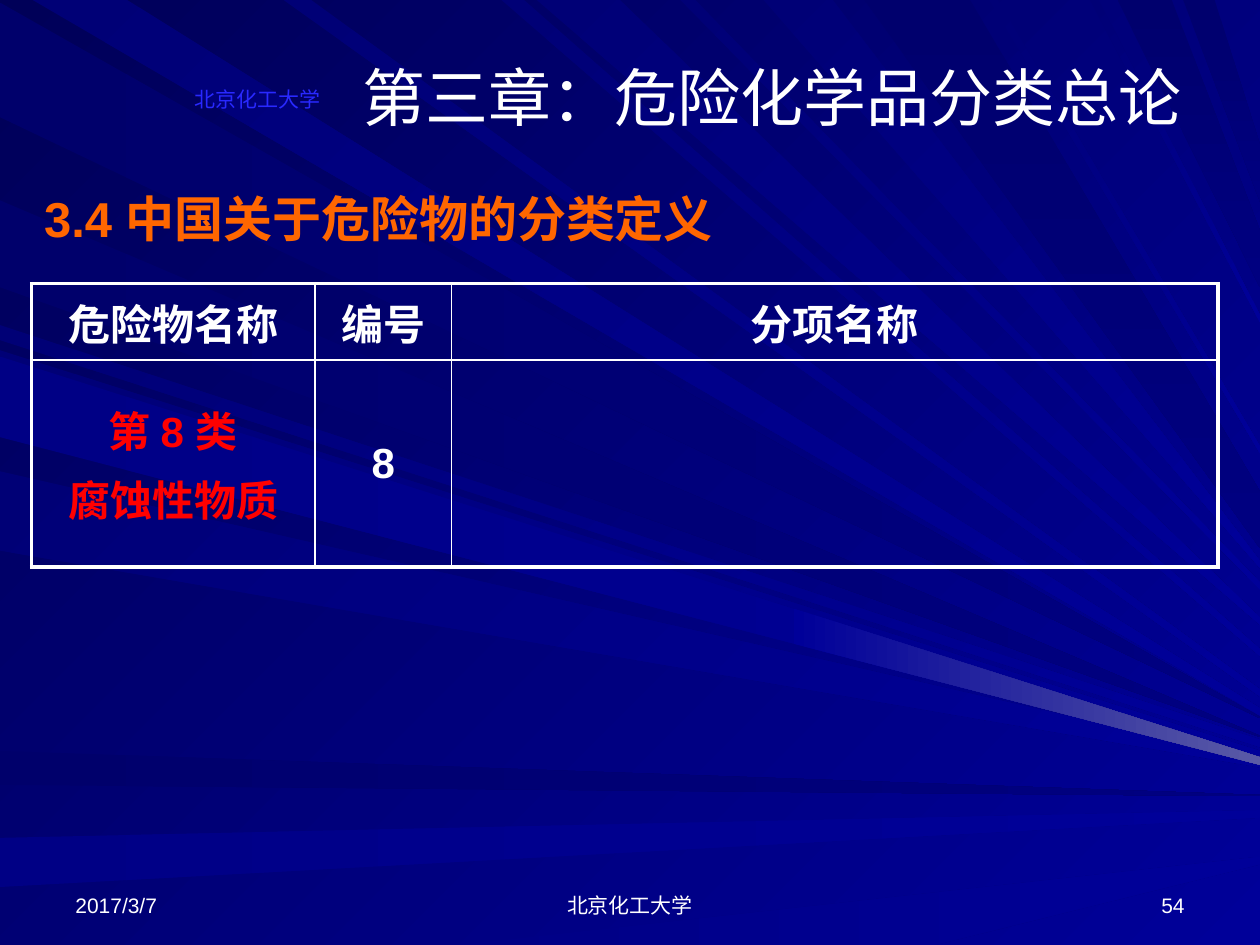
import pptx
import pptx.util
import pptx.dml.color
import pptx.enum.text
import pptx.oxml
import pptx.oxml.ns

WHITE, RED, ORANGE, BLUE = "FFFFFF", "FF0000", "FF6600", "2929FF"
COLUMNS, ROWS = 120, 90
UNIT = pptx.util.Inches(1 / 12)  # side of one grid square
RAY_UNIT = pptx.util.Inches(0.01)

ALIGN = pptx.enum.text.PP_ALIGN
ANCHOR = pptx.enum.text.MSO_ANCHOR

# Content: boxes are left, top, width, height in grid units
TITLE = ("第三章：危险化学品分类总论", (33, 3, 81, 12.4))
HEADING = ("3.4 中国关于危险物的分类定义", (3, 18, 78, 6.6))
LABELS = [
    ("2017/3/7", (6, 82, 28, 6), ALIGN.LEFT, WHITE),
    ("北京化工大学", (41, 82, 38, 6), ALIGN.CENTER, WHITE),
    ("54", (86, 82, 28, 6), ALIGN.RIGHT, WHITE),
    ("北京化工大学", (16, 7, 17, 4.2), ALIGN.CENTER, BLUE),
]
TABLE_ROWS = [
    [("危险物名称", WHITE), ("编号", WHITE), ("分项名称", WHITE)],
    [("第 8 类\n腐蚀性物质", RED), ("8", WHITE), ("", WHITE)],
]
TABLE_CORNER = (3, 27)
COLUMN_WIDTHS = (27, 13, 73)
ROW_HEIGHTS = (7.3, 19.7)

# Ray styles: first colour, last colour, clockwise angle, height of the tip
STYLES = {
    "across": ("00006B", "000080", 0, 1),
    "slant": ("000076", "000099", 45, 6),
    "down": ("00006D", "000080", 90, 45),
    "glow": ("000085", "000099", 0, 6),
    "tail": ("000099", "5A5AA6", 0, 6),
}
# Each ray runs from a stretch of one slide edge to a tip on the right edge:
# style, edge, share of the way where it begins, (start, stop, tip) in RAY_UNIT
RAYS = [
    ("across", "left", 0, [(2, 93, 569), (596, 623, 631), (159, 228, 584)]),
    ("glow", "left", 0, [(665, 704, 643)]),
    ("glow", "bottom", 0, [(364, 742, 680)]),
    ("slant", "top", 0, [(26, 101, 562), (398, 416, 515), (426, 492, 490),
                         (540, 552, 462), (606, 661, 445), (225, 247, 547)]),
    ("down", "top", 0, [(887, 930, 183), (939, 964, 115), (686, 770, 390)]),
    ("slant", "left", 0, [(258, 270, 587), (278, 342, 596), (374, 437, 603)]),
    ("slant", "top", 0, [(785, 792, 354), (865, 872, 250)]),
    ("glow", "left", 0, [(283, 347, 601)]),
    ("tail", "left", 0.63, [(283, 347, 601)]),
]


def color(value):
    return pptx.dml.color.RGBColor.from_string(value)


def grid(*values):
    return [round(value * UNIT) for value in values]


def place(shape, box):
    shape.left, shape.top, shape.width, shape.height = grid(*box)


def paint(fill, first, last, angle):
    fill.gradient()
    fill.gradient_angle = (360 - angle) % 360
    for stop, value in zip(fill.gradient_stops, (first, last)):
        stop.color.rgb = color(value)


def write(frame, text, size=12, fill=WHITE, bold=False, align=ALIGN.LEFT,
          anchor=ANCHOR.BOTTOM, spacing=None, gap=0):
    frame.word_wrap = True
    frame.vertical_anchor = anchor
    for index, line in enumerate(text.split("\n")):
        paragraph = frame.add_paragraph() if index else frame.paragraphs[0]
        paragraph.alignment = align
        paragraph.line_spacing = spacing
        paragraph.space_before = pptx.util.Pt(gap if index else 0)
        run = paragraph.add_run()
        run.text = line
        run.font.name = "Arial"
        run.font.size = pptx.util.Pt(size)
        run.font.bold = bold
        run.font.color.rgb = color(fill)


def add_border(cell, position, side, width):
    line = pptx.oxml.parse_xml(
        f'<a:ln{side} {pptx.oxml.ns.nsdecls("a")} w="{pptx.util.Pt(width)}">'
        f'<a:solidFill><a:srgbClr val="{WHITE}"/></a:solidFill></a:ln{side}>')
    cell._tc.get_or_add_tcPr().insert(position, line)


def ray_corners(edge, begin, start, stop, tip, tip_height, right, bottom):
    def on_edge(value):
        return {"left": (0, value), "top": (value, 0), "bottom": (value, bottom)}[edge]

    # On the top edge the later start is the upper side of the ray
    upper, lower = (stop, start) if edge == "top" else (start, stop)
    near, far = [], []
    for value, tip_y in ((upper, tip), (lower, tip + tip_height)):
        x, y = on_edge(value)
        near.append((x + begin * (right - x), y + begin * (tip_y - y)))
        far.append((right, tip_y))
    return near + far[::-1]


def add_rays(slide):
    right, bottom = (count * UNIT / RAY_UNIT for count in (COLUMNS, ROWS))
    group = slide.shapes.add_group_shape()
    for style, edge, begin, stretches in RAYS:
        first, last, angle, tip_height = STYLES[style]
        for stretch in stretches:
            corners = ray_corners(edge, begin, *stretch, tip_height, right, bottom)
            builder = group.shapes.build_freeform(*corners[0], scale=RAY_UNIT)
            builder.add_line_segments(corners[1:], close=True)
            ray = builder.convert_to_shape()
            ray.shadow.inherit = False
            ray.line.fill.background()
            paint(ray.fill, first, last, angle)
    slide.shapes._spTree.insert(2, group._element)  # behind the placeholders


def add_class_table(slide):
    size = (sum(COLUMN_WIDTHS), sum(ROW_HEIGHTS))
    table = slide.shapes.add_table(len(ROW_HEIGHTS), len(COLUMN_WIDTHS),
                                   *grid(*TABLE_CORNER, *size)).table
    table.first_row = table.horz_banding = False
    for column, width in zip(table.columns, grid(*COLUMN_WIDTHS)):
        column.width = width
    last_row, last_column = len(ROW_HEIGHTS) - 1, len(COLUMN_WIDTHS) - 1
    for r, (row, height) in enumerate(zip(TABLE_ROWS, grid(*ROW_HEIGHTS))):
        table.rows[r].height = height
        for c, (text, fill) in enumerate(row):
            cell = table.cell(r, c)
            cell.fill.background()
            outer = {"L": c == 0, "R": c == last_column, "T": r == 0, "B": r == last_row}
            for position, (side, is_outer) in enumerate(outer.items()):
                add_border(cell, position, side, 2.25 if is_outer else 1)
            cell.vertical_anchor = ANCHOR.MIDDLE
            if text:
                write(cell.text_frame, text, size=24, fill=fill, bold=True,
                      align=ALIGN.CENTER, anchor=ANCHOR.MIDDLE, gap=4.8)


def main():
    presentation = pptx.Presentation()
    presentation.slide_width, presentation.slide_height = grid(COLUMNS, ROWS)
    slide = presentation.slides.add_slide(presentation.slide_layouts[1])

    # Background
    paint(slide.background.fill, "000058", "000099", 45)
    add_rays(slide)

    # Title and section heading
    title, heading = slide.shapes.title, slide.placeholders[1]
    for shape, (text, box) in ((title, TITLE), (heading, HEADING)):
        place(shape, box)
        shape.text_frame.auto_size = pptx.enum.text.MSO_AUTO_SIZE.NONE
    write(title.text_frame, TITLE[0], size=36, align=ALIGN.CENTER, anchor=ANCHOR.MIDDLE)
    properties = heading.text_frame.paragraphs[0]._p.get_or_add_pPr()
    indent = pptx.util.Inches(0.38)
    properties.set("marL", str(indent))
    properties.set("indent", str(-indent))
    properties.append(pptx.oxml.parse_xml(f'<a:buNone {pptx.oxml.ns.nsdecls("a")}/>'))
    write(heading.text_frame, HEADING[0], size=28, fill=ORANGE, bold=True,
          anchor=ANCHOR.TOP, spacing=0.9)

    # Table, footer and university label
    add_class_table(slide)
    for text, box, align, fill in LABELS:
        label = slide.shapes.add_textbox(*grid(*box))
        write(label.text_frame, text, fill=fill, align=align)

    presentation.save("out.pptx")


if __name__ == "__main__":
    main()
